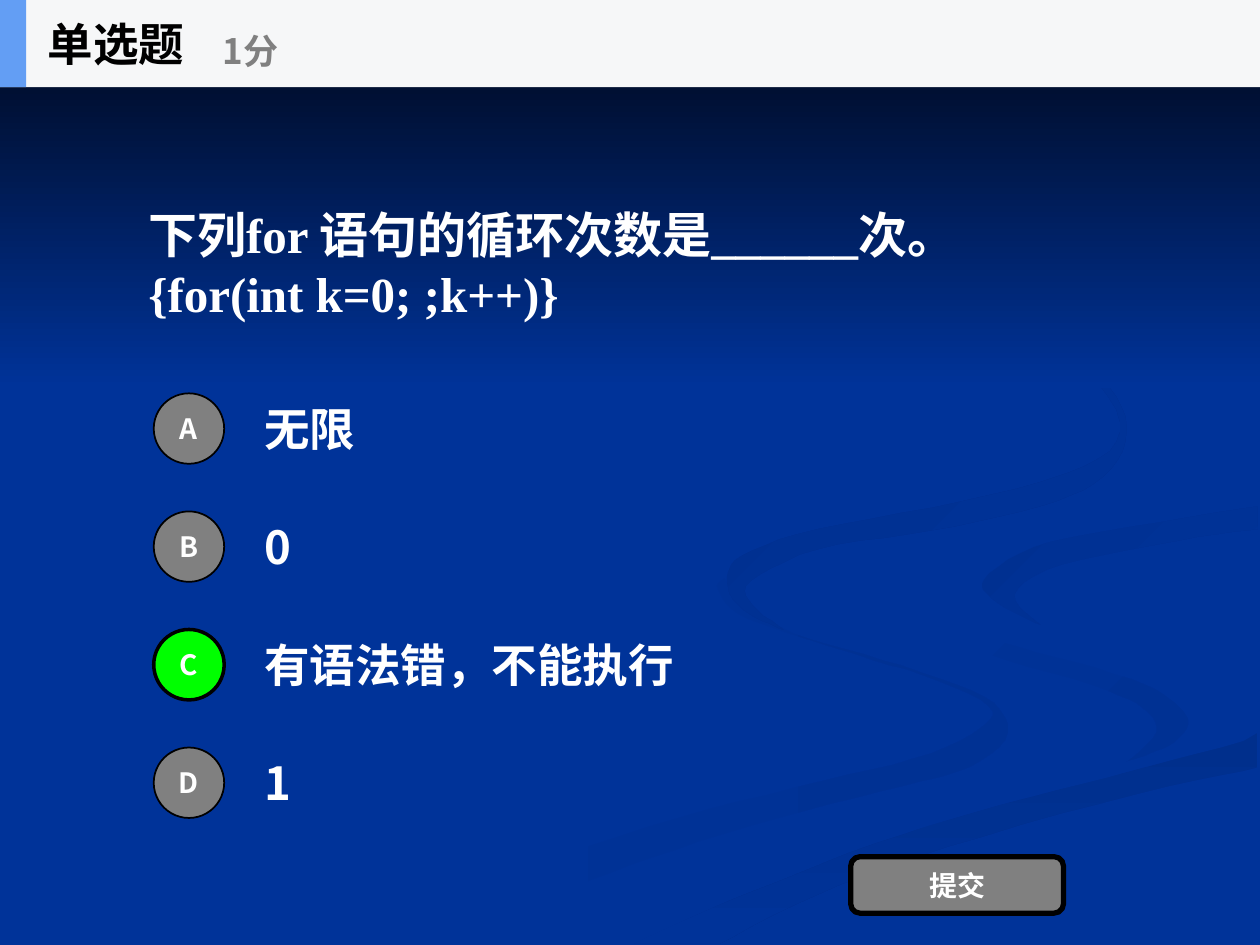
from dataclasses import dataclass

from lxml import etree
from pptx import Presentation
from pptx.dml.color import RGBColor
from pptx.enum.shapes import MSO_SHAPE
from pptx.enum.text import MSO_ANCHOR, PP_ALIGN
from pptx.oxml.ns import qn
from pptx.util import Cm, Pt

RECTANGLE, OVAL, ROUNDED = MSO_SHAPE.RECTANGLE, MSO_SHAPE.OVAL, MSO_SHAPE.ROUNDED_RECTANGLE
MIDDLE, LEFT, CENTER = MSO_ANCHOR.MIDDLE, PP_ALIGN.LEFT, PP_ALIGN.CENTER
SANS, SERIF = "Noto Sans CJK SC", "Times New Roman"
NAVY, MIDNIGHT, GREY, GREEN = "003399", "000514", "808080", "00FF00"
WHITE, BLACK, PALE, SKY_BLUE = "FFFFFF", "000000", "F6F7F8", "639EF4"

SLIDE_WIDTH, SLIDE_HEIGHT = 25.4, 19.05
HEADER_HEIGHT, STRIPE_WIDTH, DUSK_HEIGHT = 1.76, 0.53, 7.82
OPTION_TOP, OPTION_PITCH = 7.75, 2.38
ANSWER_LEFT, ANSWER_WIDTH, ANSWER_HEIGHT = 5.08, 17.78, 1.78
BADGE_LEFT, BADGE_SIZE = 3.1, 1.42

BLANK = "_" * 6
QUESTION = [f"下列for 语句的循环次数是{BLANK}次。", "{for(int k=0; ;k++)}"]
OPTIONS = {"A": "无限", "B": "0", "C": "有语法错，不能执行", "D": "1"}
CORRECT = "C"

GRID_UNIT, GRID_RIGHT, CURVE_STEPS = 0.0254, 1000, 5


@dataclass
class Ribbon:
    """A background ribbon: two edges in grid units and a gradient."""
    start: str
    end: str
    angle: int
    near_edge: list
    far_edge: list


RIBBONS = [
    Ribbon(NAVY, "003193", 0,
           [(575, 459), (594, 485), (642, 507), (715, 528), (781, 553), (800, 581),
            (769, 609), (699, 628), (594, 656), (499, 687), (431, 714), (361, 749)],
           [(575, 459), (570, 468), (593, 491), (679, 519), (741, 539), (783, 559),
            (783, 574), (739, 598), (652, 620), (539, 649), (417, 690), (300, 749)]),
    Ribbon(NAVY, "003193", 45,
           [(724, 464), (733, 483), (792, 509), (870, 530), (930, 553), (943, 570),
            (932, 589), (894, 605)],
           [(724, 464), (739, 494), (781, 518), (868, 544), (907, 562), (918, 581),
            (894, 605)]),
    Ribbon("002F8C", NAVY, 90,
           [(503, 749), (569, 719), (696, 669), (797, 638), (920, 606), (998, 581)],
           [(571, 749), (649, 710), (752, 672), (903, 630), (998, 609)]),
    Ribbon(NAVY, NAVY, 0,
           [(999, 387), (920, 401), (808, 417), (742, 439), (725, 464), (759, 498),
            (831, 519), (905, 540), (943, 570), (926, 593), (869, 611), (743, 643),
            (573, 703), (477, 749)],
           [(999, 402), (933, 415), (850, 427), (786, 453), (786, 473), (832, 498),
            (904, 519), (999, 538), (999, 581), (904, 610), (765, 647), (630, 693),
            (503, 749)]),
    Ribbon("003091", NAVY, 45,
           [(998, 402), (898, 418), (821, 434), (781, 460), (791, 478), (826, 496)],
           [(998, 420), (936, 429), (843, 448), (805, 472), (826, 496)]),
    Ribbon("002F8E", NAVY, 45,
           [(762, 233), (821, 261), (880, 307), (894, 344), (876, 378), (825, 402),
            (739, 421), (649, 436), (596, 461), (597, 480), (622, 500)],
           [(762, 233), (846, 279), (889, 335), (861, 370), (763, 398), (649, 420),
            (589, 441), (577, 462), (590, 484), (622, 500)]),
]


def rgb(value):
    """Turn a hex string into a colour."""
    return RGBColor.from_string(value)


def spline(before, start, end, after, t):
    """Interpolate one coordinate between start and end (Catmull-Rom)."""
    return start + t / 2 * (end - before + t * (
        2 * before - 5 * start + 4 * end - after
        + t * (3 * (start - end) + after - before)))


def smooth(edge):
    """Return a smooth row of points that passes through every point of an edge."""
    padded = [edge[0], *edge, edge[-1]]
    curve = [edge[0]]
    for knots in zip(padded, padded[1:], padded[2:], padded[3:]):
        for step in range(1, CURVE_STEPS + 1):
            x, y = (round(spline(*axis, step / CURVE_STEPS)) for axis in zip(*knots))
            curve.append((min(x, GRID_RIGHT), y))
    return curve


def fill_gradient(shape, start, end, angle):
    """Fill a shape with a two-colour gradient, the angle being clockwise."""
    shape.shadow.inherit = False
    shape.line.fill.background()
    shape.fill.gradient()
    shape.fill.gradient_angle = (360 - angle) % 360
    for stop, color in zip(shape.fill.gradient_stops, (start, end)):
        stop.color.rgb = rgb(color)


def add_ribbon(slide, ribbon):
    """Draw the area between the two smoothed edges of a ribbon."""
    outline = smooth(ribbon.near_edge) + smooth(ribbon.far_edge)[::-1]
    builder = slide.shapes.build_freeform(*outline[0], scale=Cm(GRID_UNIT))
    builder.add_line_segments(outline[1:], close=True)
    fill_gradient(builder.convert_to_shape(), ribbon.start, ribbon.end, ribbon.angle)


def add_block(slide, kind, box, fill, outline=0):
    """Add a plain filled shape with an optional black outline in points."""
    block = slide.shapes.add_shape(kind, *map(Cm, box))
    block.shadow.inherit = False
    block.fill.solid()
    block.fill.fore_color.rgb = rgb(fill)
    if outline:
        block.line.color.rgb = rgb(BLACK)
        block.line.width = Pt(outline)
    else:
        block.line.fill.background()
    return block


def write_lines(shape, lines, size, color, font=SANS, align=LEFT):
    """Write bold, vertically centred lines into a shape."""
    frame = shape.text_frame
    frame.word_wrap = True
    frame.vertical_anchor = MIDDLE
    frame.text = "\n".join(lines)
    for paragraph in frame.paragraphs:
        paragraph.alignment = align
        for run in paragraph.runs:
            run.font.size = Pt(size)
            run.font.bold = True
            run.font.color.rgb = rgb(color)
            run.font.name = font
            etree.SubElement(run.font._element, qn("a:ea"), typeface=SANS)


def add_text(slide, box, lines, size, color, font=SANS):
    """Add a text box."""
    write_lines(slide.shapes.add_textbox(*map(Cm, box)), lines, size, color, font)


def add_button(slide, kind, box, fill, outline, label):
    """Add an outlined button with a centred white label."""
    button = add_block(slide, kind, box, fill, outline)
    frame = button.text_frame
    frame.margin_left = frame.margin_right = frame.margin_top = frame.margin_bottom = 0
    write_lines(button, [label], 16, WHITE, align=CENTER)


def add_backdrop(slide):
    """Colour the slide, then add the ribbons and the dark upper part."""
    slide.background.fill.solid()
    slide.background.fill.fore_color.rgb = rgb(NAVY)
    for ribbon in RIBBONS:
        add_ribbon(slide, ribbon)
    dusk = add_block(slide, RECTANGLE, (0, 0, SLIDE_WIDTH, DUSK_HEIGHT), NAVY)
    fill_gradient(dusk, MIDNIGHT, NAVY, 90)


def add_option(slide, row, letter, answer):
    """Add one answer with its lettered badge, green when correct."""
    top = OPTION_TOP + row * OPTION_PITCH
    badge_top = top + (ANSWER_HEIGHT - BADGE_SIZE) / 2
    fill, outline = (GREEN, 2) if letter == CORRECT else (GREY, 1)
    add_text(slide, (ANSWER_LEFT, top, ANSWER_WIDTH, ANSWER_HEIGHT), [answer], 26, WHITE)
    add_button(slide, OVAL, (BADGE_LEFT, badge_top, BADGE_SIZE, BADGE_SIZE),
               fill, outline, letter)


def add_header(slide):
    """Add the question type bar with its score."""
    for width, color in ((SLIDE_WIDTH, PALE), (STRIPE_WIDTH, SKY_BLUE)):
        add_block(slide, RECTANGLE, (0, 0, width, HEADER_HEIGHT), color)
    add_text(slide, (0.71, 0, 5.28, HEADER_HEIGHT), ["单选题"], 26, BLACK)
    add_text(slide, (4.24, 0.3, 6.35, 1.42), ["1分"], 20, GREY)


def main():
    """Build the quiz slide and save it."""
    deck = Presentation()
    deck.slide_width, deck.slide_height = Cm(SLIDE_WIDTH), Cm(SLIDE_HEIGHT)
    slide = deck.slides.add_slide(deck.slide_layouts[6])
    add_backdrop(slide)
    add_text(slide, (2.74, 2.34, 20.32, 5.94), QUESTION, 28, WHITE, SERIF)
    for row, (letter, answer) in enumerate(OPTIONS.items()):
        add_option(slide, row, letter, answer)
    add_button(slide, ROUNDED, (17.15, 17.27, 4.29, 1.14), GREY, 3, "提交")
    add_header(slide)
    deck.save("out.pptx")


if __name__ == "__main__":
    main()
